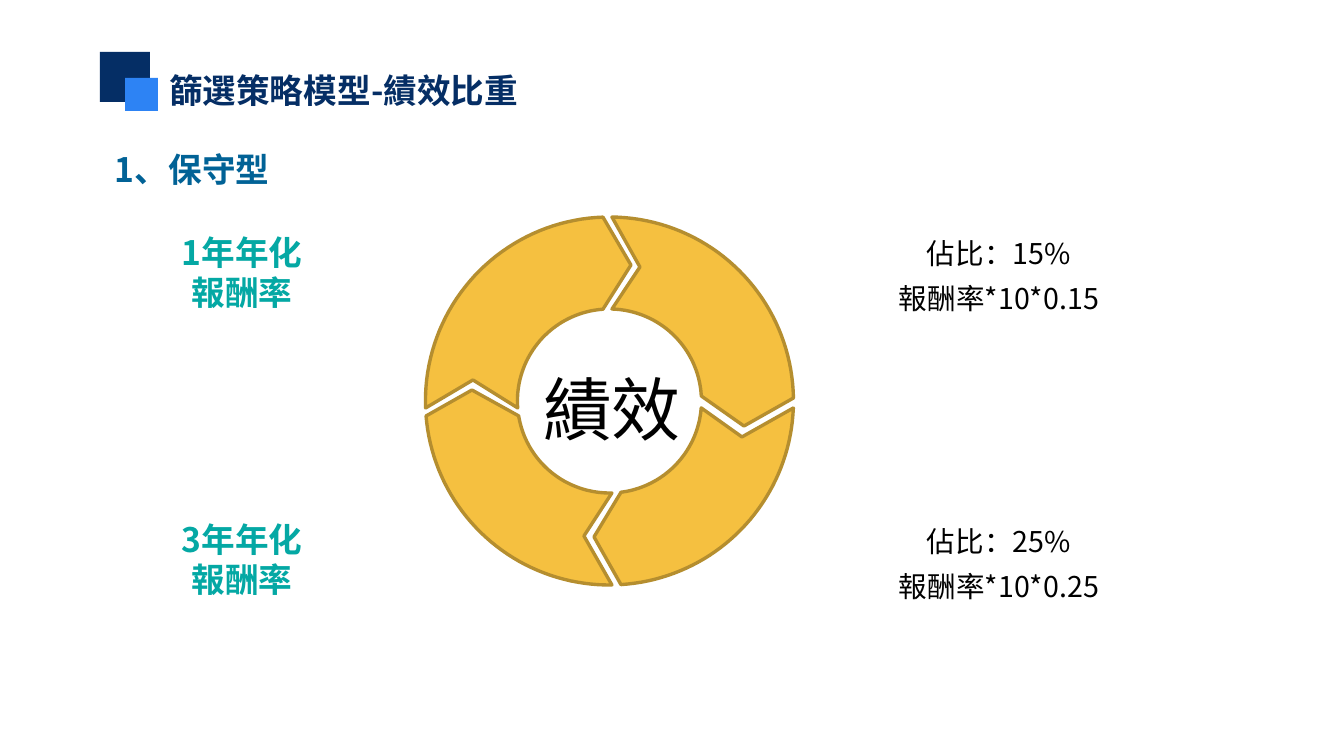
import math
import pptx
import pptx.dml.color
import pptx.enum.shapes
import pptx.enum.text
import pptx.oxml.ns
import pptx.util
from lxml import etree

RGB = pptx.dml.color.RGBColor
NAVY = RGB(0x05, 0x2E, 0x65)
BLUE = RGB(0x2D, 0x83, 0xF4)
SEA = RGB(0x01, 0x62, 0x96)
TEAL = RGB(0x04, 0xA8, 0xA4)
GOLD = RGB(0xF5, 0xC0, 0x40)
BROWN = RGB(0xB5, 0x8E, 0x2F)
BLACK = RGB(0, 0, 0)

ALIGN = pptx.enum.text.PP_ALIGN
ANCHOR = pptx.enum.text.MSO_ANCHOR
RECT = pptx.enum.shapes.MSO_SHAPE.RECTANGLE
FONT = "Noto Sans CJK SC"
SCALE = 914400 / 121


def emu(*nums):
    return [pptx.util.Emu(round(n * SCALE)) for n in nums]


def arc(mid, rad, start, end, turn):
    """Points from start to end round mid; turn is 1 for clockwise, -1 for back."""
    first, last = (math.atan2(y - mid[1], x - mid[0]) for x, y in (start, end))
    sweep = turn * ((turn * (last - first)) % math.tau)
    steps = 40
    angles = [first + sweep * i / steps for i in range(steps + 1)]
    return [(mid[0] + rad * math.cos(a), mid[1] + rad * math.sin(a)) for a in angles]


class Deck:
    def __init__(self, wide, high):
        self.prs = pptx.Presentation()
        self.prs.slide_width, self.prs.slide_height = emu(wide, high)
        self.slide = self.prs.slides.add_slide(self.prs.slide_layouts[5])
        self.shapes = self.slide.shapes

    def style(self, shape, text, size, color, bold, align, anchor, space):
        frame = shape.text_frame
        frame.text = text
        frame.word_wrap = True
        frame.auto_size = pptx.enum.text.MSO_AUTO_SIZE.NONE
        frame.vertical_anchor = anchor
        frame.margin_left, frame.margin_right = emu(12, 12)
        frame.margin_top, frame.margin_bottom = emu(6, 6)
        for para in frame.paragraphs:
            para.alignment = align
            para.line_spacing = space
            for run in para.runs:
                font = run.font
                font.name, font.size, font.bold = FONT, pptx.util.Pt(size), bold
                font.color.rgb = color
                east = etree.SubElement(font._element, pptx.oxml.ns.qn("a:ea"))
                east.set("typeface", FONT)

    def title(self, box, text, size, color):
        shape = self.shapes.title
        shape.left, shape.top, shape.width, shape.height = emu(*box)
        self.style(shape, text, size, color, True, ALIGN.LEFT, ANCHOR.TOP, 1.0)

    def text(self, box, text, size, color, bold=False, align=ALIGN.CENTER,
             anchor=ANCHOR.TOP, space=1.0):
        shape = self.shapes.add_textbox(*emu(*box))
        self.style(shape, text, size, color, bold, align, anchor, space)

    def paint(self, shape, fill, line=None):
        shape.shadow.inherit = False
        shape.fill.solid()
        shape.fill.fore_color.rgb = fill
        if line is None:
            shape.line.fill.background()
        else:
            shape.line.color.rgb = line
            shape.line.width = pptx.util.Pt(2)

    def square(self, left, top, side, fill):
        self.paint(self.shapes.add_shape(RECT, *emu(left, top, side, side)), fill)

    def outline(self, points, fill, line):
        spots = [emu(*p) for p in points]
        pen = self.shapes.build_freeform(*spots[0], scale=1.0)
        pen.add_line_segments(spots[1:], close=True)
        self.paint(pen.convert_to_shape(), fill, line)


deck = Deck(1344, 756)

# Heading with its two squares
deck.title((157, 64, 387, 53), "篩選策略模型-績效比重", 20, NAVY)
deck.square(100, 52, 50, NAVY)
deck.square(125, 78, 33, BLUE)
deck.text((103, 143, 381, 53), "1、保守型", 20, SEA, True, ALIGN.LEFT)

# Ring of four arrows: outer start, outer end, tip, inner end, inner start, notch
MID, OUTER, INNER = (609.5, 401), 184, 92
ARROWS = [
    ((612, 217), (793, 398), (744, 426), (702, 396), (612, 309), (640, 267)),
    ((426, 408), (603, 217), (631, 265), (603, 309), (517, 408), (473, 380)),
    ((612, 585), (426, 416), (472, 390), (518, 416), (612, 494), (584, 536)),
    ((793, 408), (621, 585), (594, 537), (621, 492), (702, 408), (742, 437)),
]
for start, end, tip, back, front, notch in ARROWS:
    rim = arc(MID, OUTER, start, end, 1)
    hole = arc(MID, INNER, back, front, -1)
    deck.outline(rim + [tip] + hole + [notch], GOLD, BROWN)
deck.text((525, 361, 174, 93), "績效", 41, BLACK)

# One row for each period: label on the left, weight on the right
ROWS = [(1, 15, 226, 213), (3, 25, 513, 501)]
for years, share, top, head in ROWS:
    deck.text((162, top, 160, 93), f"{years}年年化\n報酬率", 20, TEAL, True)
    deck.text((817, head, 364, 115), f"佔比：{share}%\n報酬率*10*0.{share}", 17, BLACK,
              anchor=ANCHOR.MIDDLE, space=1.3)

deck.prs.save("out.pptx")
